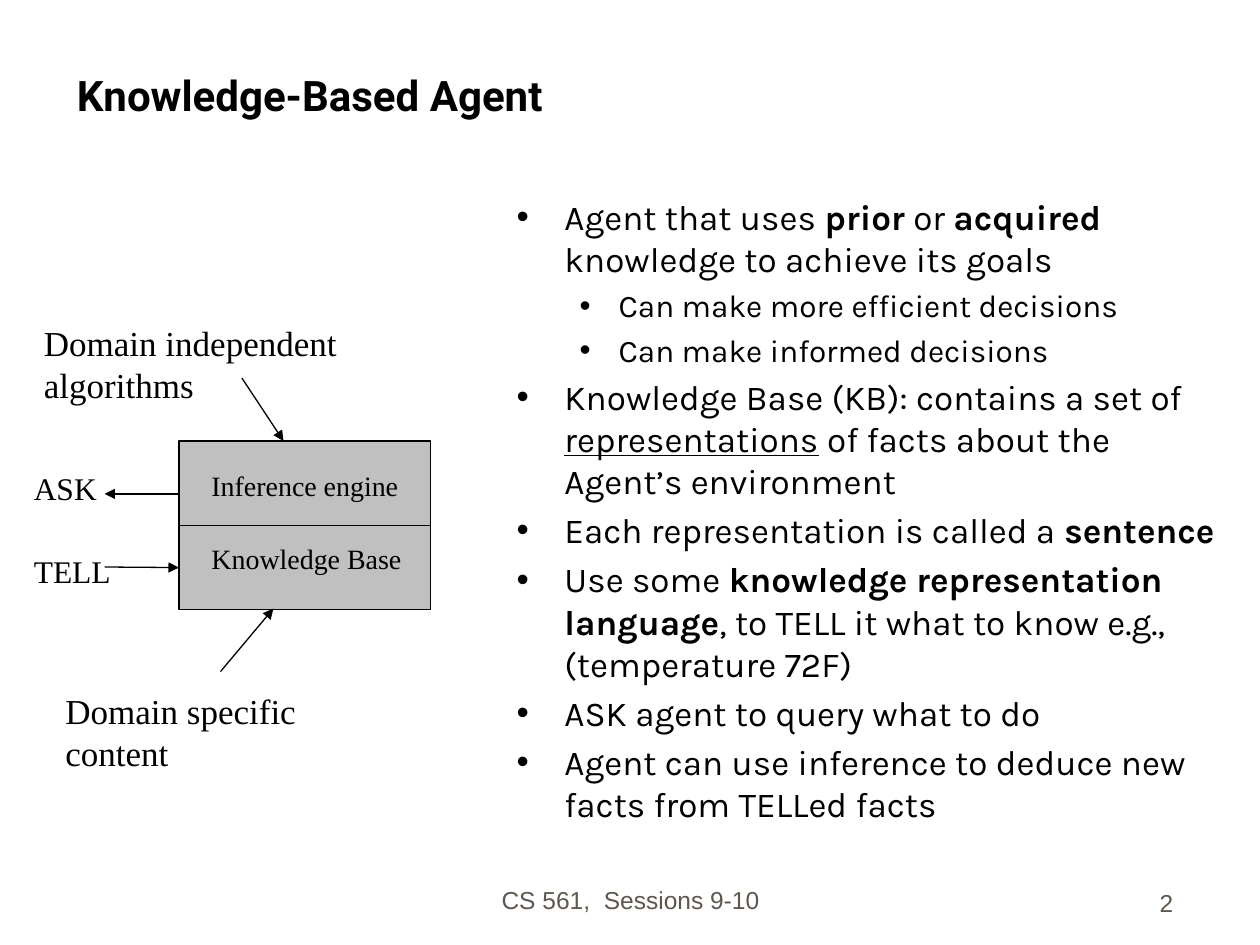
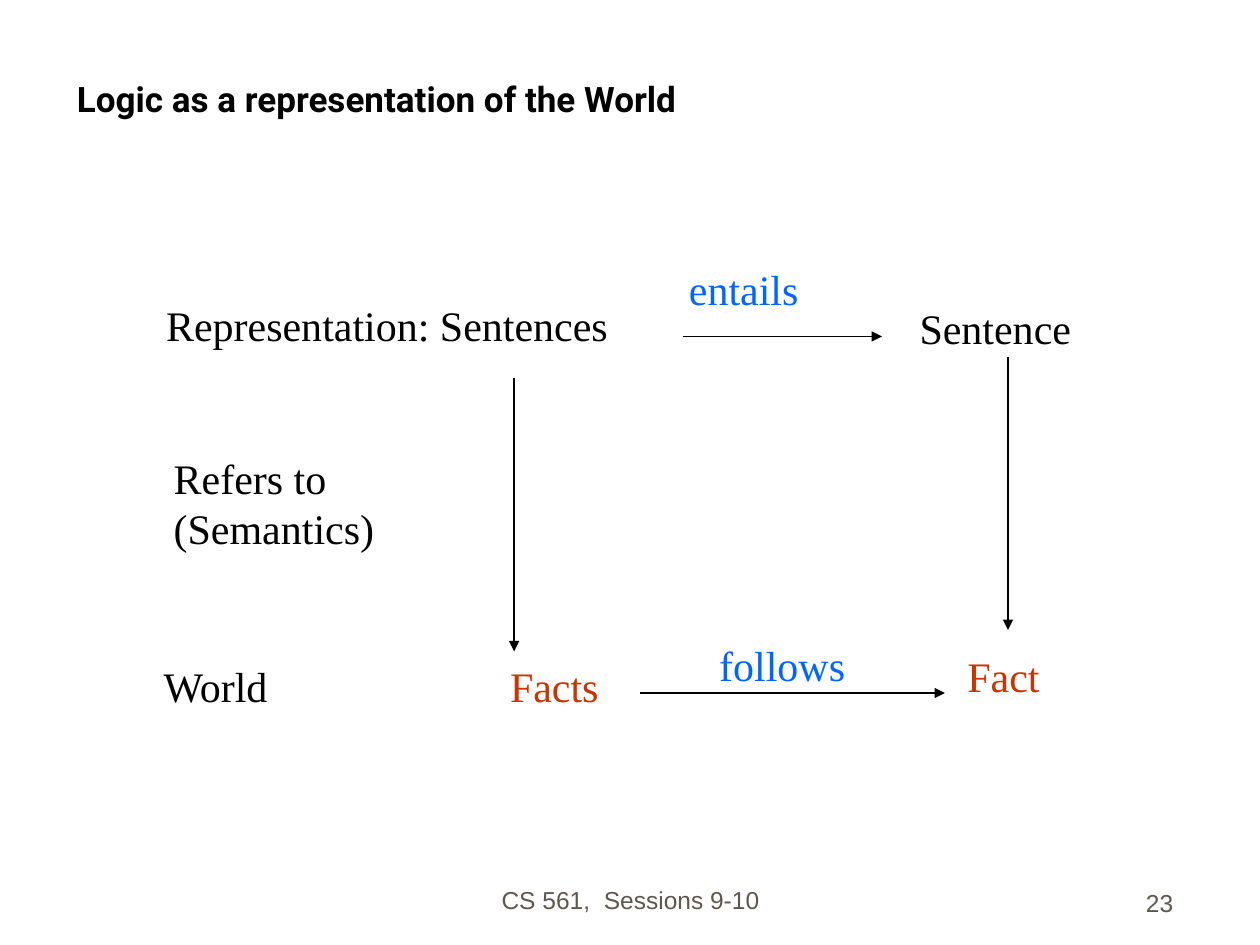
from dataclasses import dataclass

from lxml import etree
from pptx import Presentation
from pptx.dml.color import RGBColor
from pptx.enum.shapes import MSO_CONNECTOR, MSO_SHAPE
from pptx.enum.text import MSO_ANCHOR, MSO_AUTO_SIZE, PP_ALIGN
from pptx.oxml.ns import qn
from pptx.util import Inches, Pt

LINE, RECT = MSO_CONNECTOR.STRAIGHT, MSO_SHAPE.RECTANGLE
LEFT, CENTER, RIGHT = PP_ALIGN.LEFT, PP_ALIGN.CENTER, PP_ALIGN.RIGHT
TOP, BOTTOM = MSO_ANCHOR.TOP, MSO_ANCHOR.BOTTOM
NO_FIT = MSO_AUTO_SIZE.NONE
LEFT_SIDE = 1


@dataclass(frozen=True)
class Theme:
    # Colours
    ink: str = "000000"
    foot: str = "5E574E"
    gray: str = "C0C0C0"
    red: str = "CC3300"
    blue: str = "0066FF"
    # Fonts
    head: str = "Roboto"
    body: str = "Karla"
    label: str = "Times New Roman"
    plain: str = "Arial"
    # Type sizes and line width in points
    big: int = 24
    mid: int = 20
    sub: int = 18
    small: int = 16
    note: int = 14
    rule: float = 0.75
    gap: int = 4


def rgb(code):
    return RGBColor.from_string(code)


def place(shape, box):
    for name, value in zip(("left", "top", "width", "height"), box):
        setattr(shape, name, Inches(value))


class Deck:
    def __init__(self, theme):
        self.theme = theme
        self.prs = Presentation()
        self.prs.slide_width, self.prs.slide_height = Inches(10), Inches(7.5)
        self.slide = None

    def start(self, layout, title, size, number):
        """Add a slide with its title, footer and number."""
        t = self.theme
        self.slide = self.prs.slides.add_slide(self.prs.slide_layouts[layout])
        head = self.slide.shapes.title
        place(head, (0.51, 0.25, 8.92, 0.75))
        self.frame(head, anchor=BOTTOM)
        para = head.text_frame.paragraphs[0]
        para.alignment = LEFT
        self.run(para, title, name=t.head, size=size, bold=True)
        for text, box, align in (
            ("CS 561,  Sessions 9-10", (3.42, 6.81, 3.17, 0.5), CENTER),
            (str(number), (7.33, 6.83, 2.08, 0.5), RIGHT),
        ):
            self.text(text, box, t.note, t.foot, name=t.plain,
                      align=align, anchor=BOTTOM, wrap=True)

    def frame(self, shape, anchor=TOP, wrap=True):
        form = {"word_wrap": wrap, "auto_size": NO_FIT,
                "vertical_anchor": anchor}
        for key, value in form.items():
            setattr(shape.text_frame, key, value)

    def run(self, para, text, size, color=None, **form):
        run = para.add_run()
        run.text = text
        run.font.color.rgb = rgb(color or self.theme.ink)
        for key, value in {"size": Pt(size), **form}.items():
            setattr(run.font, key, value)

    def text(self, text, box, size, color=None, name=None,
             align=LEFT, anchor=TOP, wrap=False):
        shape = self.slide.shapes.add_textbox(*map(Inches, box))
        self.frame(shape, anchor, wrap)
        frame = shape.text_frame
        for i, line in enumerate(text.split("\n")):
            para = frame.add_paragraph() if i else frame.paragraphs[0]
            para.alignment = align
            self.run(para, line, size, color, name=name or self.theme.label)

    def list(self, items, box):
        """Fill the body; an item is a level and its (text, format) parts."""
        t = self.theme
        shape = self.slide.placeholders[1]
        place(shape, box)
        self.frame(shape)
        frame = shape.text_frame
        for i, (level, parts) in enumerate(items):
            para = frame.add_paragraph() if i else frame.paragraphs[0]
            para.level = level
            self.bullet(para, *((0.81, 0.31) if level else (0.38, 0.38)))
            para.space_before = Pt(t.gap if i else 0)
            for text, form in parts:
                self.run(para, text, t.sub if level else t.mid,
                         name=t.body, **form)

    def bullet(self, para, left, hang):
        props = para._p.get_or_add_pPr()
        props.set("marL", str(Inches(left)))
        props.set("indent", str(-Inches(hang)))
        color = etree.SubElement(props, qn("a:buClr"))
        etree.SubElement(color, qn("a:srgbClr"), val=self.theme.ink)
        etree.SubElement(props, qn("a:buFont"), typeface=self.theme.plain)
        etree.SubElement(props, qn("a:buChar"), char="•")

    def rect(self, box):
        shape = self.slide.shapes.add_shape(RECT, *map(Inches, box))
        shape.shadow.inherit = False
        shape.fill.solid()
        shape.fill.fore_color.rgb = rgb(self.theme.gray)
        self.stroke(shape)
        return shape

    def stroke(self, shape):
        shape.line.color.rgb = rgb(self.theme.ink)
        shape.line.width = Pt(self.theme.rule)

    def arrow(self, *ends):
        """Draw from (x1, y1) to (x2, y2), with the head at the end."""
        line = self.slide.shapes.add_connector(LINE, *map(Inches, ends))
        self.stroke(line)
        etree.SubElement(line.line._get_or_add_ln(), qn("a:tailEnd"),
                         type="triangle")
        etree.SubElement(line._element.spPr, qn("a:effectLst"))
        return line


def agent(deck):
    t = deck.theme
    deck.start(1, "Knowledge-Based Agent", t.big, 2)
    bold, under, norm = {"bold": True}, {"underline": True}, {}
    deck.list([
        (0, [("Agent that uses ", norm), ("prior", bold), (" or ", norm),
             ("acquired", bold), (" knowledge to achieve its goals", norm)]),
        (1, [("Can make more efficient decisions", norm)]),
        (1, [("Can make informed decisions", norm)]),
        (0, [("Knowledge Base (KB): contains a set of ", norm),
             ("representations", under),
             (" of facts about the Agent’s environment", norm)]),
        (0, [("Each representation is called a ", norm), ("sentence", bold)]),
        (0, [("Use some ", norm), ("knowledge representation language", bold),
             (", to TELL it what to know e.g., (temperature 72F)", norm)]),
        (0, [("ASK agent to query what to do", norm)]),
        (0, [("Agent can use inference to deduce new facts from TELLed facts",
              norm)]),
    ], (4, 1.5, 5.75, 5.5))

    # Stacked blocks of the agent
    left, top, high = 1.42, 3.5, 0.67
    engine, base = [deck.rect((left, top + i * high, 2, high))
                    for i in range(2)]
    deck.text("Knowledge Base", (1.58, 4.25, 1.71, 0.37), t.small)
    deck.text("Inference engine", (1.58, 3.67, 1.69, 0.37), t.small)

    # Notes and their arrows
    deck.text("Domain independent algorithms", (0.25, 2.5, 3.5, 0.77),
              t.mid, wrap=True)
    deck.text("Domain specific content", (0.42, 5.42, 2.65, 0.77),
              t.mid, wrap=True)
    deck.arrow(1.75, 5.33, 2.17, 4.83)
    deck.arrow(1.92, 3, 2.25, top)

    # Calls in and out
    deck.text("TELL", (0.17, 4.33, 0.81, 0.4), t.sub)
    deck.text("ASK", (0.17, 3.67, 0.7, 0.4), t.sub)
    deck.arrow(0.83, 4.5, left, 4.5).end_connect(base, LEFT_SIDE)
    deck.arrow(left, 3.92, 0.83, 3.92)


def logic(deck):
    t = deck.theme
    deck.start(5, "Logic as a representation of the World", t.mid, 23)

    # Arrows between the corners
    for ends in ((5.42, 2.67, 7, 2.67), (8, 2.83, 8, 5),
                 (5.08, 5.5, 7.5, 5.5), (4.08, 3, 4.08, 5.17)):
        deck.arrow(*ends)

    # Labels
    for text, box, color in (
        ("Facts", (3.95, 5.19, 0.9, 0.5), t.red),
        ("World", (1.2, 5.19, 1.05, 0.5), t.ink),
        ("Fact", (7.58, 5.11, 0.77, 0.5), t.red),
        ("follows", (5.61, 5.03, 1.2, 0.5), t.blue),
        ("Refers to\n(Semantics)", (1.28, 3.54, 1.79, 0.9), t.ink),
        ("Representation: Sentences", (1.22, 2.33, 3.7, 0.5), t.ink),
        ("Sentence", (7.2, 2.35, 1.4, 0.5), t.ink),
        ("entails", (5.37, 2.04, 1.07, 0.5), t.blue),
    ):
        deck.text(text, box, t.big, color)


def main():
    deck = Deck(Theme())
    agent(deck)
    logic(deck)
    deck.prs.save("out.pptx")


if __name__ == "__main__":
    main()
